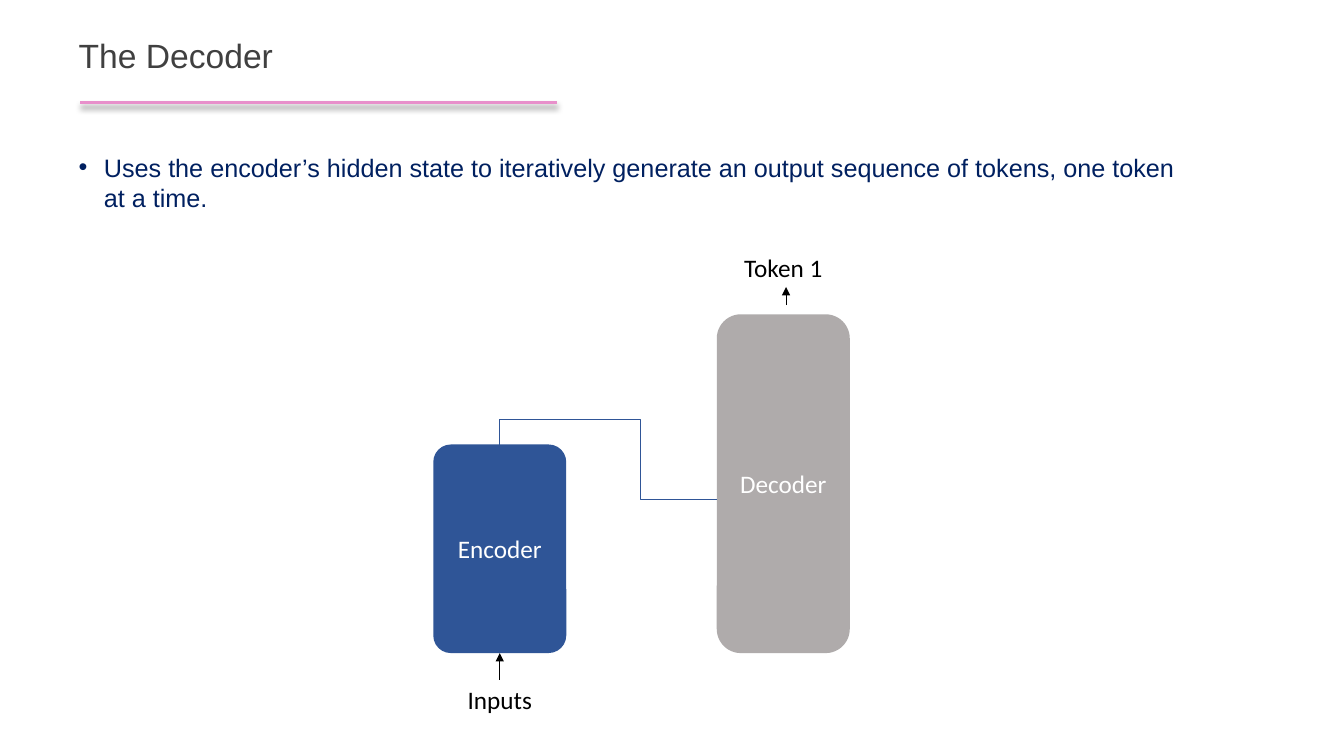
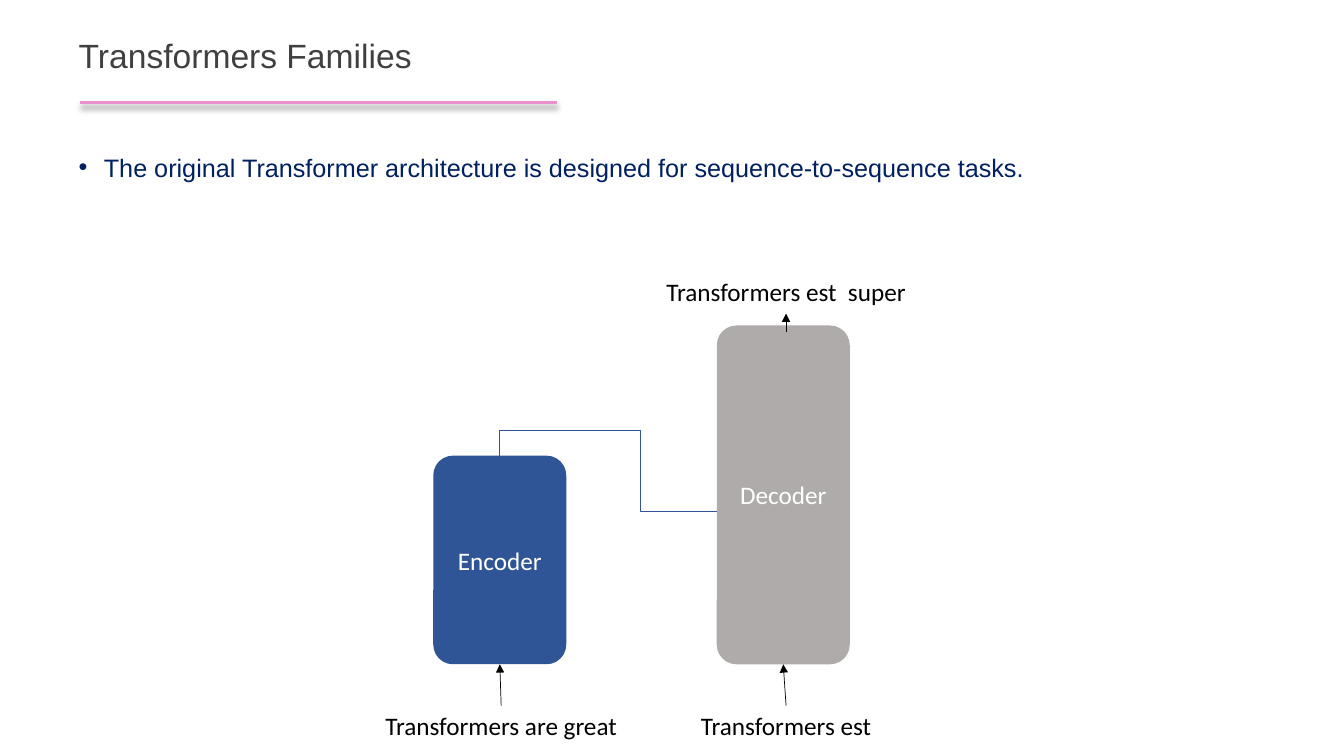
from lxml.etree import SubElement
from pptx import Presentation
from pptx.dml.color import RGBColor
from pptx.enum.shapes import MSO_CONNECTOR as Connector, MSO_SHAPE as Shape
from pptx.enum.text import MSO_ANCHOR as Anchor, MSO_AUTO_SIZE as AutoSize, PP_ALIGN as Align
from pptx.oxml.ns import qn
from pptx.util import Pt

COLORS = {"title": "404040", "body": "002060", "rule": "E890CB", "encoder": "2F5597",
          "decoder": "AFABAB", "on_block": "FFFFFF", "ink": "000000"}

# Content: labels are (text, centre x, top, width), arrows are (x1, y1, x2, y2)
SLIDES = [
    {"title": "The Decoder",
     "bullet": "Uses the encoder’s hidden state to iteratively generate an output "
               "sequence of tokens, one token at a time.",
     "floor": 466.5, "corners": (0.132, 0.181),
     "labels": [("Inputs", 357, 485.5, 112), ("Token 1", 559.5, 176.5, 181)],
     "arrows": [(357, 485.5, 357, 466.5), (561.5, 218, 561.5, 205)]},
    {"title": "Transformers Families",
     "bullet": "The original Transformer architecture is designed for "
               "sequence-to-sequence tasks.",
     "floor": 474.5, "corners": (0.148, 0.148),
     "labels": [("Transformers are great", 358, 504, 240.5),
                ("Transformers est", 561.5, 504, 155),
                ("Transformers est  super", 561.5, 193.5, 206)],
     "arrows": [(358, 504, 357, 474.5), (561.5, 504, 559.5, 474.5),
                (561.5, 237, 561.5, 224)]},
]

# Geometry of the diagram; both blocks stand on the slide's floor
BLOCK_W = 95
BLOCKS = [("Encoder", "encoder", 309.5, 149), ("Decoder", "decoder", 512, 242)]
LINK_RISE, LINK_DROP, LINK_TURN = 18, 39.5, 0.65


def rgb(name):
    return RGBColor.from_string(COLORS[name])


def place(shape, left, top, width, height):
    shape.left, shape.top, shape.width, shape.height = map(Pt, (left, top, width, height))


def style(paragraph, size, font, color, align):
    paragraph.alignment = align
    paragraph.font.size, paragraph.font.name = Pt(size), font
    paragraph.font.color.rgb = rgb(color)


def add_line(slide, ends, color, width, kind=Connector.STRAIGHT):
    """Return a line and its empty effect list, which removes the shadow."""
    line = slide.shapes.add_connector(kind, *map(Pt, ends))
    line.line.color.rgb, line.line.width = rgb(color), Pt(width)
    return line, SubElement(line._element.spPr, qn("a:effectLst"))


def add_arrow(slide, ends):
    arrow, _ = add_line(slide, ends, "ink", 0.5)
    SubElement(arrow.line._get_or_add_ln(), qn("a:tailEnd"), type="triangle")


def add_label(slide, text, center, top, width):
    box = slide.shapes.add_textbox(Pt(center - width / 2), Pt(top), Pt(width), Pt(29))
    box.text_frame.word_wrap = True
    box.text_frame.text = text
    style(box.text_frame.paragraphs[0], 18, "Calibri", "ink", Align.CENTER)


def add_block(slide, name, color, left, height, floor, corner):
    block = slide.shapes.add_shape(Shape.ROUNDED_RECTANGLE, Pt(left), Pt(floor - height),
                                   Pt(BLOCK_W), Pt(height))
    block.adjustments[0] = corner
    block.shadow.inherit = False
    block.fill.solid()
    block.fill.fore_color.rgb = rgb(color)
    block.line.fill.background()
    block.text_frame.vertical_anchor = Anchor.MIDDLE
    block.text_frame.text = name
    style(block.text_frame.paragraphs[0], 18, "Calibri", "on_block", Align.CENTER)


def add_link(slide, floor):
    """Elbow from the encoder's top, up and over, to the decoder's left side."""
    (_, _, encoder_x, encoder_h), (_, _, decoder_x, _) = BLOCKS
    x, y = encoder_x + BLOCK_W / 2, floor - encoder_h
    run = decoder_x - x
    link, _ = add_line(slide, (x, y, decoder_x, y + LINK_DROP), "encoder", 0.5,
                       Connector.ELBOW)
    # The four-part elbow is drawn sideways, then turned about its centre
    place(link, x + (run - LINK_DROP) / 2, y + (LINK_DROP - run) / 2, LINK_DROP, run)
    properties = link._element.spPr
    frame = properties.find(qn("a:xfrm"))
    frame.set("rot", str(270 * 60000))
    frame.set("flipH", "1")
    geometry = properties.find(qn("a:prstGeom"))
    geometry.set("prst", "bentConnector4")
    guides = geometry.find(qn("a:avLst"))
    for guide, share in (("adj1", -LINK_RISE / LINK_DROP), ("adj2", LINK_TURN)):
        SubElement(guides, qn("a:gd"), name=guide, fmla=f"val {round(share * 100000)}")


def add_rule(layout, slide):
    """Draw the shadowed title rule and move it to the shared layout."""
    rule, effects = add_line(slide, (57.5, 73.5, 398, 73.5), "rule", 2.25)
    shadow = SubElement(effects, qn("a:outerShdw"), blurRad=str(Pt(4)), dist=str(Pt(3)),
                        dir=str(90 * 60000), rotWithShape="0")
    tint = SubElement(shadow, qn("a:srgbClr"), val=COLORS["ink"])
    SubElement(tint, qn("a:alpha"), val="40000")
    layout.shapes._spTree.append(rule._element)


def fill_text(slide, content):
    title, body = slide.placeholders
    title.text_frame.text = content["title"]
    title.text_frame.vertical_anchor = Anchor.MIDDLE
    heading = title.text_frame.paragraphs[0]
    heading.line_spacing = 0.9
    style(heading, 24, "Arial", "title", Align.LEFT)

    body.text_frame.text = content["bullet"]
    body.text_frame.auto_size = AutoSize.NONE
    bullet = body.text_frame.paragraphs[0]
    bullet.space_before = Pt(0)
    indents = bullet._p.get_or_add_pPr()
    indents.set("marL", str(Pt(18)))
    indents.set("indent", str(-Pt(18)))
    SubElement(indents, qn("a:buFont"), typeface="Arial")
    SubElement(indents, qn("a:buChar"), char="•")
    style(bullet, 18, "Arial", "body", Align.LEFT)


def main():
    deck = Presentation()
    deck.slide_width, deck.slide_height = Pt(960), Pt(540)

    # Shared layout: title and body positions
    layout = deck.slide_layouts[1]
    place(layout.placeholders[0], 49, -11, 828, 104.5)
    place(layout.placeholders[1], 49, 105, 805.5, 422)

    for number, content in enumerate(SLIDES):
        slide = deck.slides.add_slide(layout)
        if number == 0:
            add_rule(layout, slide)
        fill_text(slide, content)
        for block, corner in zip(BLOCKS, content["corners"]):
            add_block(slide, *block, content["floor"], corner)
        add_link(slide, content["floor"])
        for label in content["labels"]:
            add_label(slide, *label)
        for ends in content["arrows"]:
            add_arrow(slide, ends)

    deck.save("out.pptx")


if __name__ == "__main__":
    main()
